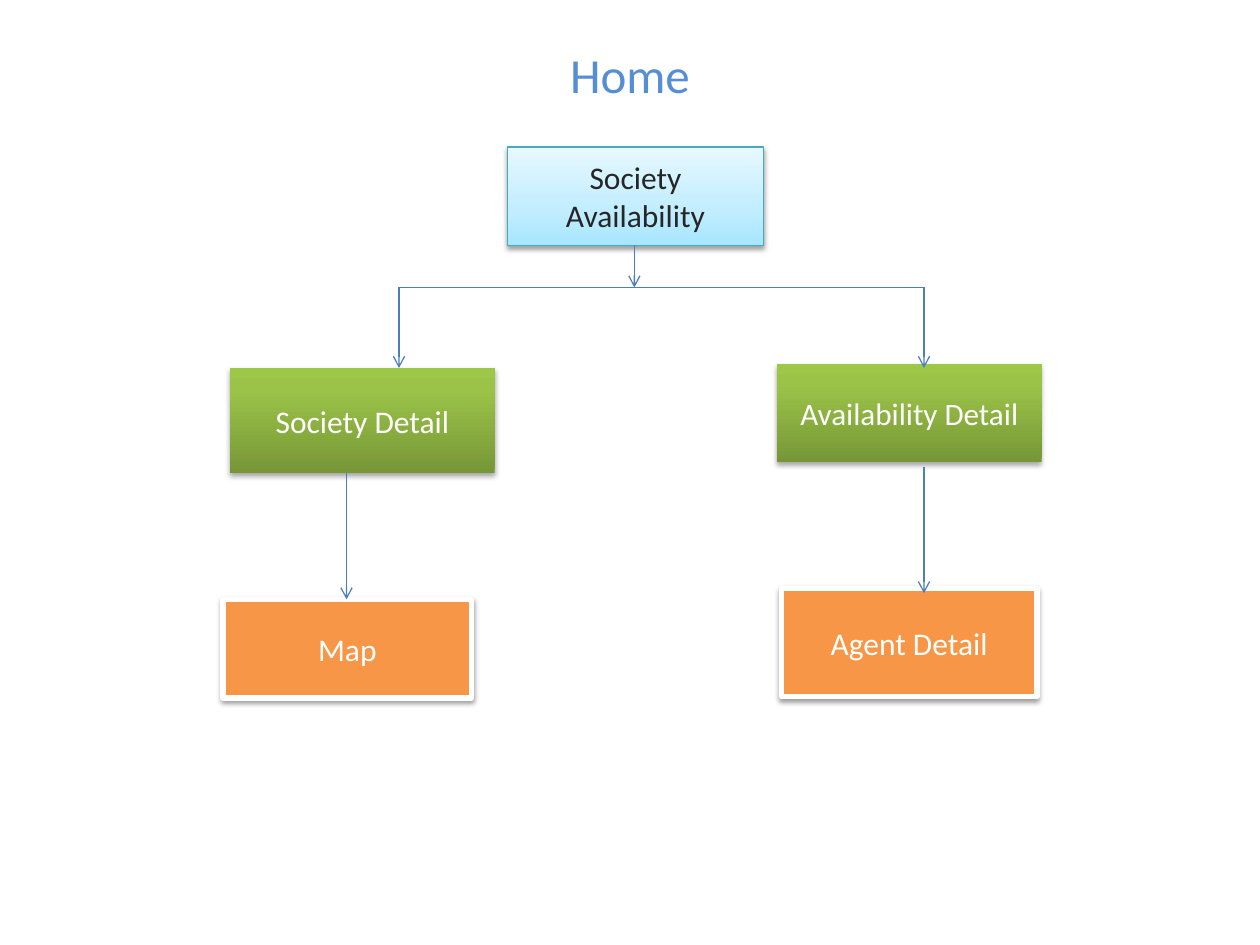
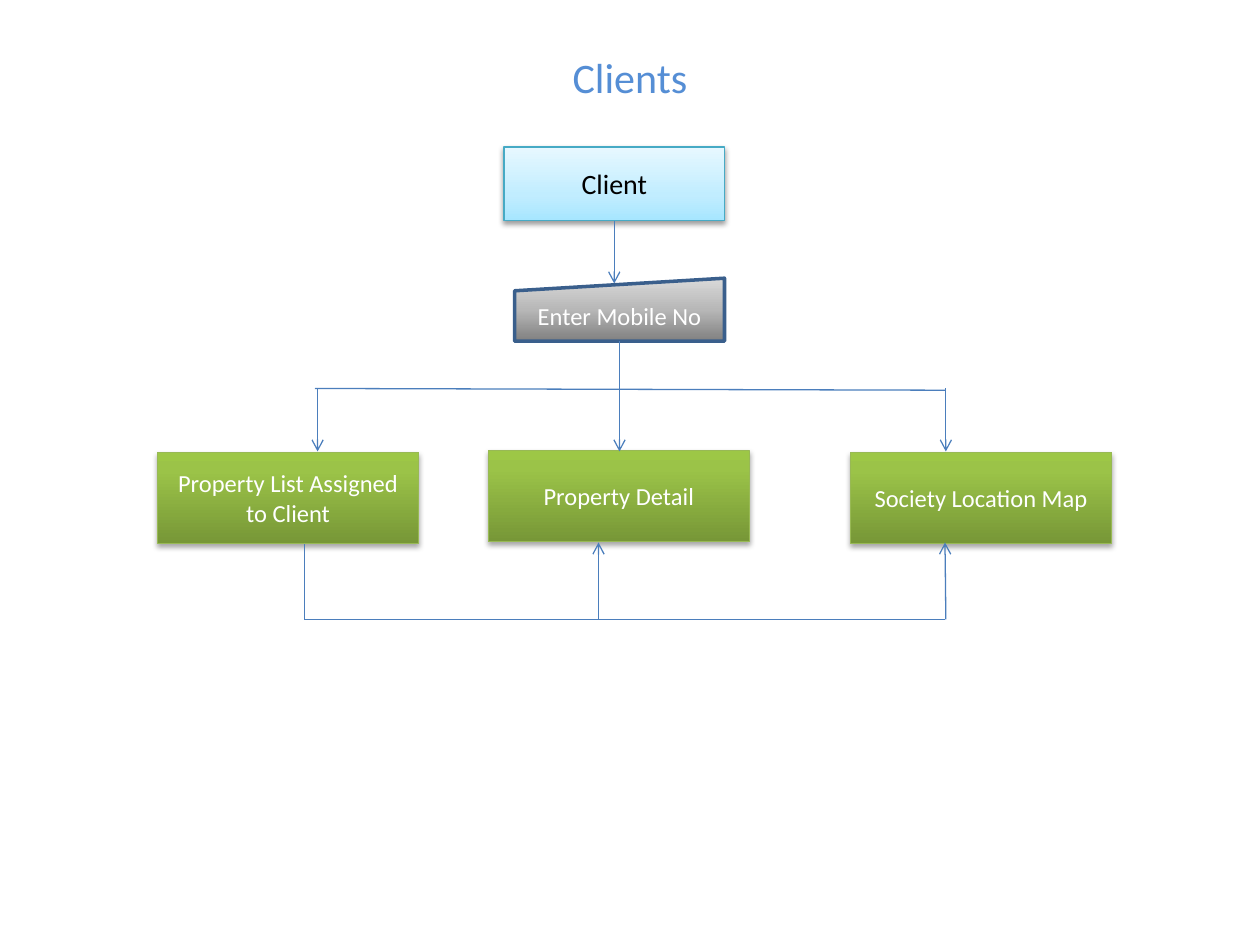
from lxml.etree import SubElement
from pptx import Presentation
from pptx.dml.color import RGBColor
from pptx.enum.shapes import MSO_CONNECTOR as Connector, MSO_SHAPE as Shape
from pptx.enum.text import MSO_ANCHOR as Anchor, PP_ALIGN as Align
from pptx.oxml.ns import qn
from pptx.util import Pt

FONT = "Calibri"
COLORS = {
    "title": "558ED5", "arrow": "4B7EBC", "white": "FFFFFF",
    "black": "000000", "charcoal": "262626", "orange": "F79646",
    "cyan_edge": "46AAC5", "green_edge": "98B955", "navy_edge": "3A5F8C",
}
# Gradients run from bottom to top: (percent, colour)
GRADIENTS = {
    "cyan": [(0, "A7E6FF"), (35, "C1EDFF"), (100, "E7F8FF")],
    "green": [(0, "779737"), (80, "9BC348"), (100, "9DC746")],
    "gray": [(0, "808080"), (50, "B7B7B7"), (100, "D9D9D9")],
}


def rgb(name):
    return RGBColor.from_string(COLORS[name])


def write(shape, text, size, color):
    frame = shape.text_frame
    frame.word_wrap = True
    frame.vertical_anchor = Anchor.MIDDLE
    paragraph = frame.paragraphs[0]
    paragraph.text = text
    paragraph.alignment = Align.CENTER
    font = paragraph.font
    font.name, font.size, font.color.rgb = FONT, Pt(size), rgb(color)


def add_title(slide, text, top, height, size):
    title = slide.shapes.add_textbox(Pt(36), Pt(top), Pt(648), Pt(height))
    write(title, text, size, "title")


def fill_gradient(shape, stops):
    shape.fill.gradient()
    shape.fill.gradient_angle = 90
    stop_list = shape._element.spPr.find(".//" + qn("a:gsLst"))
    stop_list.clear()
    for percent, color in stops:
        stop = SubElement(stop_list, qn("a:gs"), pos=str(percent * 1000))
        SubElement(stop, qn("a:srgbClr"), val=color)


def add_shadow(shape, opacity, distance):
    effects = shape._element.spPr.find(qn("a:effectLst"))
    shadow = SubElement(effects, qn("a:outerShdw"), blurRad=str(Pt(3.1)),
                        dist=str(Pt(distance)), dir="5400000", rotWithShape="0")
    color = SubElement(shadow, qn("a:srgbClr"), val=COLORS["black"])
    SubElement(color, qn("a:alpha"), val=str(opacity * 1000))


def add_node(slide, text, box, fill, size, color="white", edge=None,
             edge_width=0.75, shadow=(38, 1.6), kind=Shape.RECTANGLE):
    node = slide.shapes.add_shape(kind, *(Pt(length) for length in box))
    if fill in GRADIENTS:
        fill_gradient(node, GRADIENTS[fill])
    else:
        node.fill.solid()
        node.fill.fore_color.rgb = rgb(fill)
    if edge:
        node.line.color.rgb = rgb(edge)
        node.line.width = Pt(edge_width)
    else:
        node.line.fill.background()
    node.shadow.inherit = False
    if shadow:
        add_shadow(node, *shadow)
    write(node, text, size, color)


def add_line(slide, x1, y1, x2, y2, arrow=True):
    line = slide.shapes.add_connector(
        Connector.STRAIGHT, Pt(x1), Pt(y1), Pt(x2), Pt(y2))
    line.line.color.rgb = rgb("arrow")
    line.line.width = Pt(0.75)
    if arrow:
        SubElement(line.line._get_or_add_ln(), qn("a:tailEnd"), type="arrow")
    SubElement(line._element.spPr, qn("a:effectLst"))


def build_home(slide):
    add_title(slide, "Home", 30.24, 23.76, 28)

    # Start, detail and leaf boxes
    add_node(slide, "Society Availability", (290, 84, 146.25, 56.25), "cyan",
             18, "charcoal", "cyan_edge")
    for text, box in (("Map", (127.5, 342.75, 142, 56.25)),
                      ("Agent Detail", (446.5, 336.5, 146, 61.75))):
        add_node(slide, text, box, "orange", 18, edge="white", edge_width=3)
    for text, box, size in (
            ("Society Detail", (131.5, 210.25, 151.25, 60), 18),
            ("Availability Detail", (444, 208, 151.25, 56), 17.8)):
        add_node(slide, text, box, "green", size, shadow=(35, 1.8))

    # Branch to both details, then down to the leaves
    branch_y, left, right = 164.25, 228, 528
    add_line(slide, 362.5, 140.25, 362.5, branch_y)
    add_line(slide, left, branch_y, right, branch_y, arrow=False)
    for x in (left, right):
        add_line(slide, x, branch_y, x, 210.25)
    add_line(slide, 198, 270.5, 198, 342.5)
    add_line(slide, right, 267, right, 339)


def build_clients(slide):
    add_title(slide, "Clients", 21.6, 44.64, 24)

    # Client and the number to enter
    add_node(slide, "Client", (288, 84, 126, 42), "cyan", 16, "black",
             "cyan_edge")
    add_line(slide, 351, 126, 351, 162)
    add_node(slide, "Enter Mobile No", (294, 159, 120, 36), "gray", 14,
             edge="navy_edge", edge_width=2, shadow=None,
             kind=Shape.FLOWCHART_MANUAL_INPUT)

    # Result boxes
    for text, left, top in (("Property List Assigned to Client", 90, 258.5),
                            ("Property Detail", 279, 257.5),
                            ("Society Location Map", 486, 258.5)):
        add_node(slide, text, (left, top, 149.25, 52), "green", 14,
                 edge="green_edge", shadow=(35, 1.8))

    # Branch from the number to the results
    branch_y = 222
    add_line(slide, 354, 195, 354, 223, arrow=False)
    add_line(slide, 180, branch_y, 540.5, 223, arrow=False)
    for x in (181.5, 354, 540.5):
        add_line(slide, x, branch_y, x, 258)

    # Return path from the property list
    return_y = 354
    add_line(slide, 174, 311, 174, return_y, arrow=False)
    add_line(slide, 174, return_y, 540, return_y, arrow=False)
    for start_x, end_x in ((342, 342), (540.5, 540)):
        add_line(slide, start_x, return_y, end_x, 310)


def main():
    deck = Presentation()
    deck.slide_width, deck.slide_height = Pt(720), Pt(540)
    blank = deck.slide_layouts[6]
    for build in (build_home, build_clients):
        build(deck.slides.add_slide(blank))
    deck.save("out.pptx")


main()
